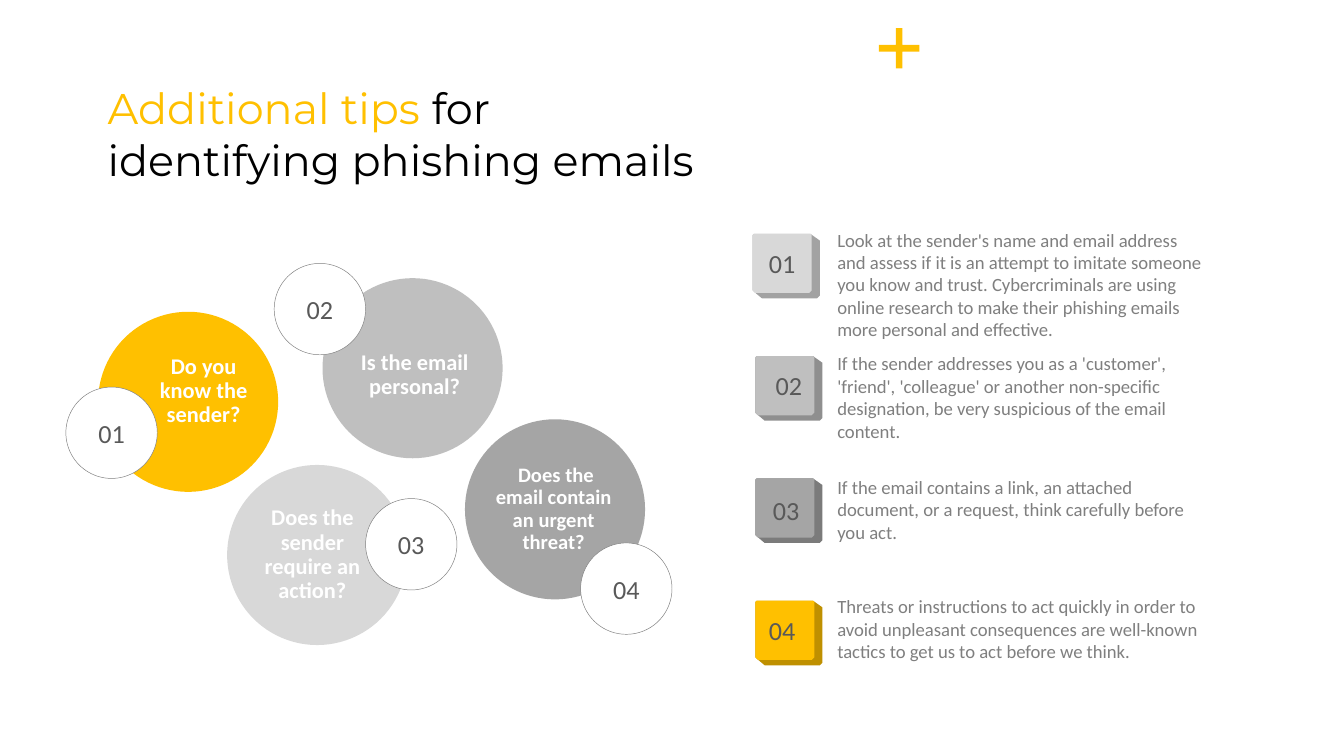
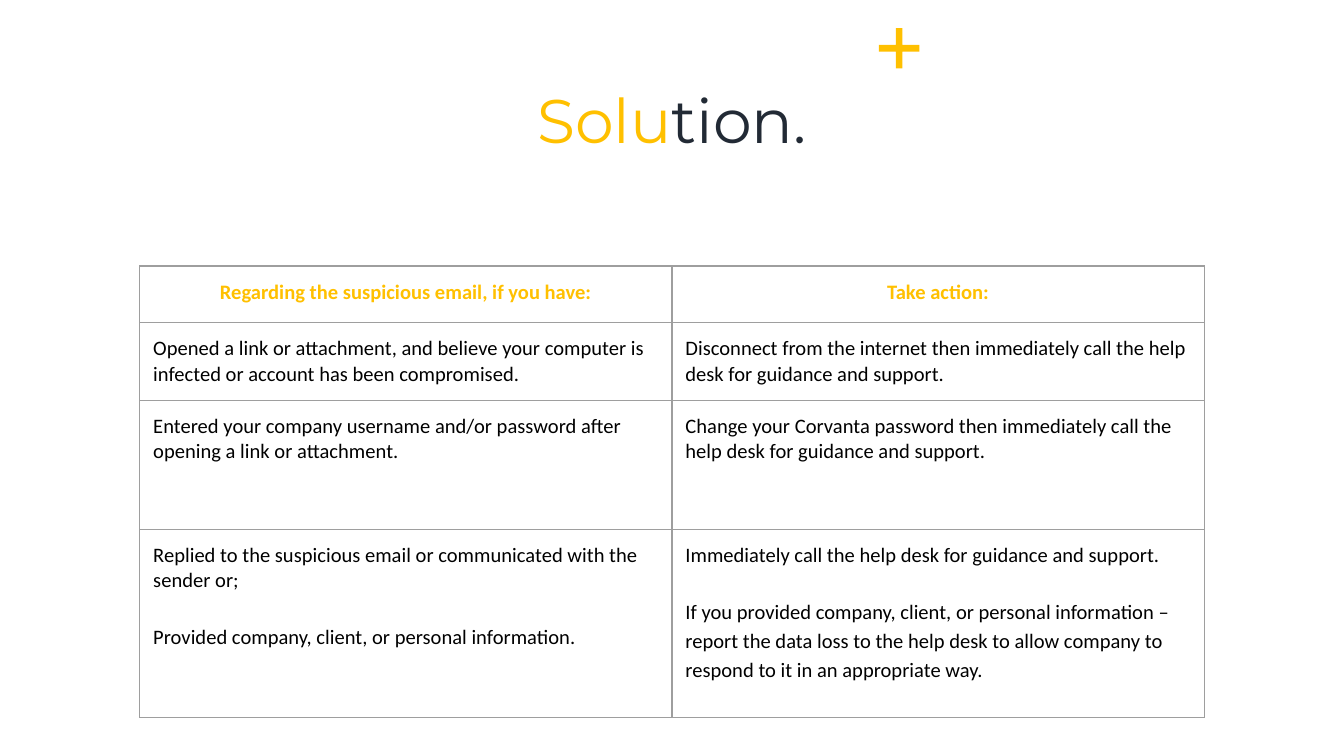
import pptx
import pptx.util
import pptx.dml.color
import pptx.enum.shapes
import pptx.enum.text
import pptx.oxml
from pptx.oxml.ns import nsdecls

Inches = pptx.util.Inches
Pt = pptx.util.Pt
Shape = pptx.enum.shapes.MSO_SHAPE
Align = pptx.enum.text.PP_ALIGN
Anchor = pptx.enum.text.MSO_ANCHOR


class Theme:
    head, body = "Montserrat", "Calibri"
    gold, black, navy, white = "FFC000", "000000", "222A35", "FFFFFF"
    pale, light, mid = "D8D8D8", "BFBFBF", "A5A5A5"
    number, tip, rule = "595959", "7F7F7F", "9E9E9E"
    num_size, tip_size, cell_size = 14, 10, 11


WIDTH = 10
PAD = (0.07, 0.04)
DISC, BADGE = 1.34, 0.68

# Each title: lines of (text, colour) runs
TIPS_TITLE = [
    [("Additional tips ", Theme.gold), ("for", Theme.black)],
    [("identifying phishing emails", Theme.black)],
]
END_TITLE = [[("Solu", Theme.gold), ("tion.", Theme.navy)]]

# number, fill, disc corner, badge corner, caption box, size, caption
QUESTIONS = [
    ("02", Theme.light, (2.4, 2.07), (2.04, 1.96), (2.64, 2.41, 0.89), 12,
     "Is the email personal?"),
    ("03", Theme.pale, (1.69, 3.46), (2.72, 3.71), (1.93, 3.93, 0.79), 12,
     "Does the sender require an action?"),
    ("04", Theme.mid, (3.46, 3.12), (4.32, 4.04), (3.67, 3.56, 0.9), 11,
     " Does the email contain an urgent threat?"),
    ("01", Theme.gold, (0.73, 2.32), (0.49, 2.88), (1.07, 2.62, 0.89), 12,
     "Do you know the sender?"),
]

# face, side, block left, label corner, text top, text
TIPS = [
    (Theme.pale, "A2A2A2", 5.6, (5.6, 1.74), 1.7,
     "Look at the sender's name and email address and assess if it is an "
     "attempt to imitate someone you know and trust. Cybercriminals are using "
     "online research to make their phishing emails more personal and "
     "effective."),
    (Theme.light, "8F8F8F", 5.62, (5.65, 2.65), 2.62,
     "If the sender addresses you as a 'customer', 'friend', 'colleague' or "
     "another non-specific designation, be very suspicious of the email "
     "content."),
    (Theme.mid, "7B7B7B", 5.62, (5.63, 3.58), 3.54,
     "If the email contains a link, an attached document, or a request, think "
     "carefully before you act."),
    (Theme.gold, "BF9000", 5.62, (5.6, 4.47), 4.43,
     "Threats or instructions to act quickly in order to avoid unpleasant "
     "consequences are well-known tactics to get us to act before we think."),
]
BLOCK_TOP, BLOCK_STEP, BLOCK = 1.74, 0.91, 0.44
SIDE = [(0, 0.01), (0.01, 0), (0.43, 0), (0.5, 0.05), (0.5, 0.46),
        (0.48, 0.48), (0.07, 0.48), (0.01, 0.43), (0, 0.42)]
FACE = [(0, 0.01), (0.01, 0), (0.43, 0), (0.44, 0.01), (0.44, 0.42),
        (0.42, 0.44), (0.02, 0.44), (0, 0.42)]

ACTIONS = [
    ("Regarding the suspicious email, if you have:", "Take action:"),
    ("Opened a link or attachment, and believe your computer is infected or "
     "account has been compromised.",
     "Disconnect from the internet then immediately call the help desk for "
     "guidance and support."),
    ("Entered your company username and/or password after opening a link or "
     "attachment.",
     "Change your Corvanta password then immediately call the help desk for "
     "guidance and support."),
    ("Replied to the suspicious email or communicated with the sender or;\n"
     "Provided company, client, or personal information.",
     "Immediately call the help desk for guidance and support.\n"
     "If you provided company, client, or personal information – report the "
     "data loss to the help desk to allow company to respond to it in an "
     "appropriate way."),
]
ROWS = [0.42, 0.56, 0.96, 1.4]
COL = 3.96


def rgb(code):
    return pptx.dml.color.RGBColor.from_string(code)


def box(*sizes):
    return [Inches(n) for n in sizes]


def paint(shape, fill, line=None):
    shape.shadow.inherit = False
    shape.fill.solid()
    shape.fill.fore_color.rgb = rgb(fill)
    if line:
        shape.line.color.rgb = rgb(line)
        shape.line.width = Pt(0.25)
    else:
        shape.line.fill.background()


def style(run, size, color, font=Theme.body, bold=False):
    run.font.size = Pt(size)
    run.font.name = font
    run.font.bold = bold
    run.font.color.rgb = rgb(color)


def frame(shape, pad, anchor=Anchor.TOP):
    """Set insets, wrap and anchor, and return the text frame."""
    text = shape.text_frame
    text.word_wrap = True
    text.auto_size = pptx.enum.text.MSO_AUTO_SIZE.NONE
    text.vertical_anchor = anchor
    text.margin_left = text.margin_right = Inches(pad[0])
    text.margin_top = text.margin_bottom = Inches(pad[1])
    return text


def write(text, words, size, color, align=Align.LEFT, bold=False, space=None):
    text.text = words
    for para in text.paragraphs:
        para.alignment = align
        para.line_spacing = space
        for run in para.runs:
            style(run, size, color, bold=bold)


def start(deck, lines, place, size, align):
    """Add a slide with its title and the gold plus."""
    slide = deck.slides.add_slide(deck.slide_layouts[5])
    plus = slide.shapes.add_shape(Shape.CROSS, *box(6.54, 0.21, 0.3, 0.3))
    plus.adjustments[0] = 0.418
    paint(plus, Theme.gold)
    title = slide.shapes.title
    title.left, title.top, title.width, title.height = box(*place)
    text = frame(title, PAD)
    for i, line in enumerate(lines):
        para = text.add_paragraph() if i else text.paragraphs[0]
        para.alignment = align
        for words, color in line:
            run = para.add_run()
            run.text = words
            style(run, size, color, Theme.head)
    return slide


def add_discs(shapes):
    for _, fill, spot, *_ in QUESTIONS:
        paint(shapes.add_shape(Shape.OVAL, *box(*spot, DISC, DISC)), fill)
    for num, _, _, spot, *_ in QUESTIONS:
        badge = shapes.add_shape(Shape.OVAL, *box(*spot, BADGE, BADGE))
        paint(badge, Theme.white, Theme.tip)
        write(frame(badge, PAD, Anchor.MIDDLE), num, Theme.num_size,
              Theme.number, Align.CENTER)
    for *_, place, size, words in QUESTIONS:
        note = shapes.add_textbox(*box(*place, 0.56))
        write(frame(note, (0, 0), Anchor.BOTTOM), words, size, Theme.white,
              Align.CENTER, True, 0.9)


def add_outline(shapes, left, top, points, fill):
    dots = [box(left + x, top + y) for x, y in points]
    pen = shapes.build_freeform(*dots[0])
    pen.add_line_segments(dots[1:])
    paint(pen.convert_to_shape(), fill)


def add_tips(shapes):
    for i, (face, side, left, spot, top, words) in enumerate(TIPS):
        high = BLOCK_TOP + i * BLOCK_STEP
        add_outline(shapes, left, high, SIDE, side)
        add_outline(shapes, left, high, FACE, face)
        label = shapes.add_textbox(*box(*spot, BLOCK, BLOCK))
        write(frame(label, (0.1, 0.1)), f"{i + 1:02}", Theme.num_size,
              Theme.number, Align.CENTER)
        tip = shapes.add_textbox(*box(6.23, top, 2.71, 0.53))
        write(frame(tip, (0, 0)), words, Theme.tip_size, Theme.tip)


def edge(cell):
    props = cell._tc.get_or_add_tcPr()
    for side in "LRTB":
        props.append(pptx.oxml.parse_xml(
            f'<a:ln{side} {nsdecls("a")} w="{Pt(0.75)}"><a:solidFill>'
            f'<a:srgbClr val="{Theme.rule}"/></a:solidFill></a:ln{side}>'))


def add_actions(shapes):
    grid = shapes.add_table(len(ACTIONS), 2,
                            *box(1.04, 1.98, 2 * COL, sum(ROWS))).table
    grid.first_row = grid.horz_banding = False
    for col in grid.columns:
        col.width = Inches(COL)
    for r, (row, high) in enumerate(zip(ACTIONS, ROWS)):
        grid.rows[r].height = Inches(high)
        for c, words in enumerate(row):
            cell = grid.cell(r, c)
            edge(cell)
            cell.fill.background()
            cell.margin_left = cell.margin_right = Inches(0.1)
            cell.margin_top = cell.margin_bottom = Inches(0.1)
            top = r == 0
            write(cell.text_frame, words, Theme.cell_size,
                  Theme.gold if top else Theme.black,
                  Align.CENTER if top else Align.LEFT, top)
            for para in cell.text_frame.paragraphs[1:]:
                para.space_before = Pt(15)
                para.line_spacing = 1.15


def main():
    deck = pptx.Presentation()
    deck.slide_width = Inches(WIDTH)
    deck.slide_height = Inches(WIDTH * 9 / 16)
    tips = start(deck, TIPS_TITLE, (0.73, 0.57, 7.47, 0.85), 23, Align.LEFT)
    add_discs(tips.shapes)
    add_tips(tips.shapes)
    end = start(deck, END_TITLE, (3.72, 0.57, 2.56, 0.63), 33, Align.CENTER)
    add_actions(end.shapes)
    deck.save("out.pptx")


if __name__ == "__main__":
    main()
